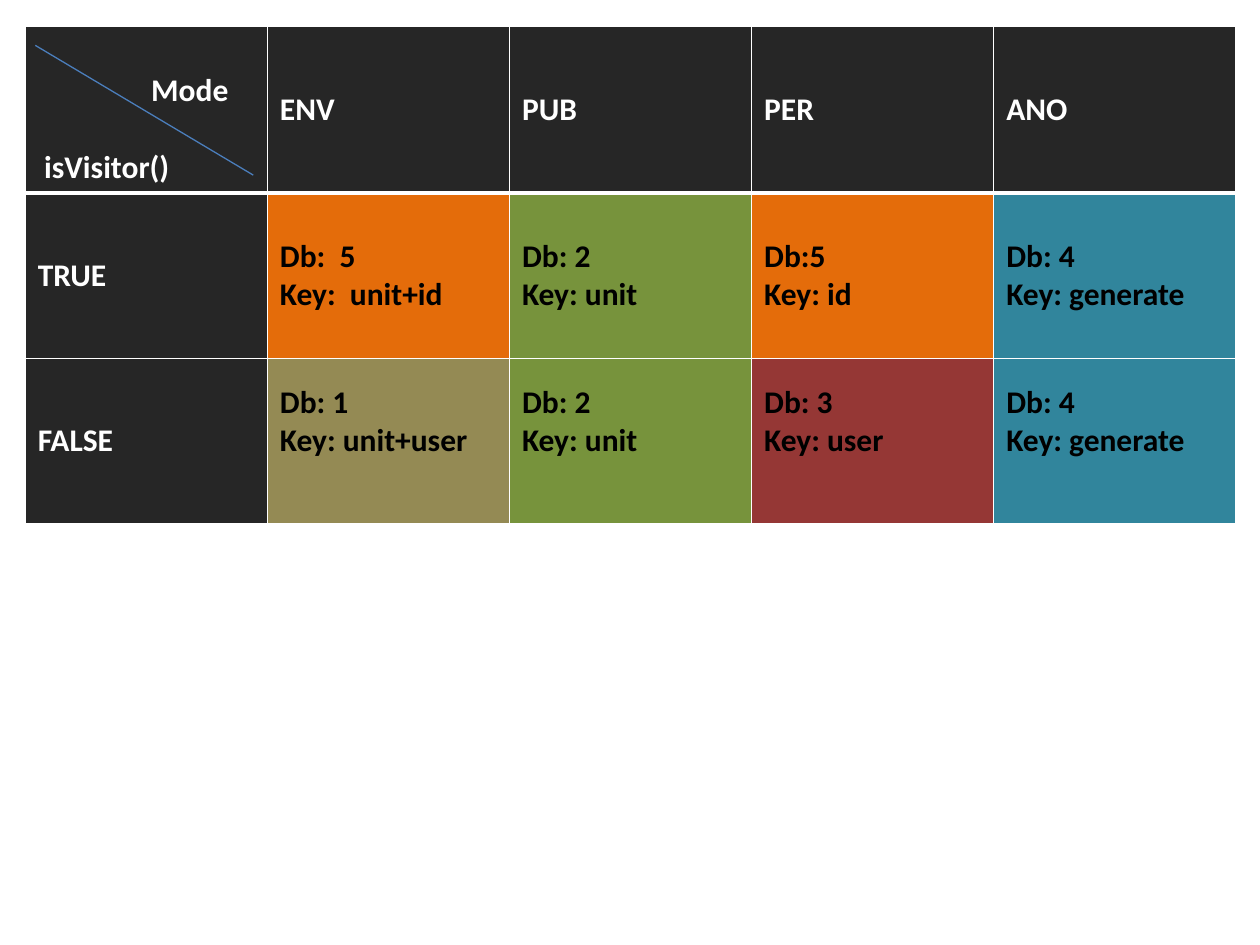
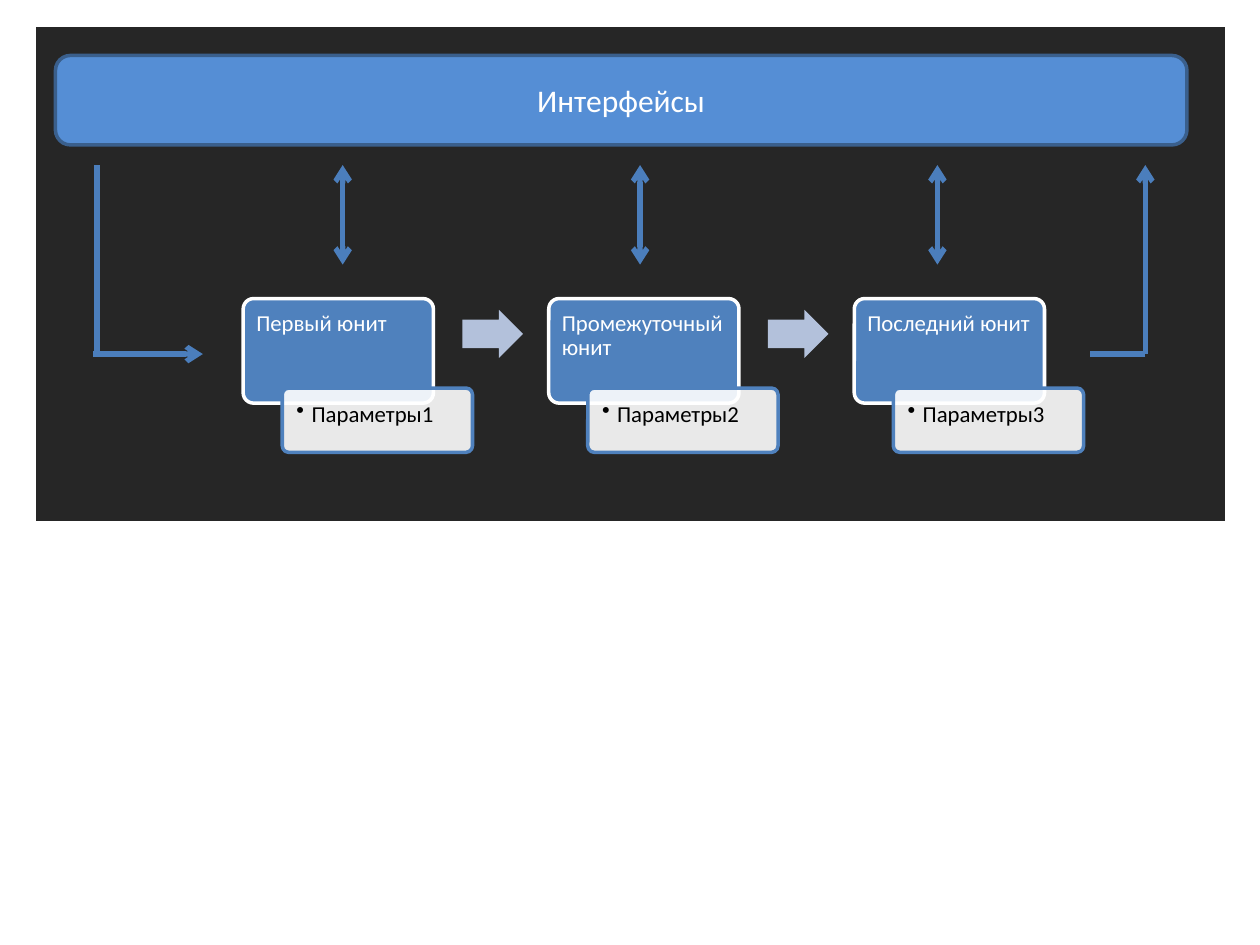
from pptx import Presentation
from pptx.dml.color import RGBColor
from pptx.enum.shapes import MSO_CONNECTOR, MSO_SHAPE
from pptx.enum.text import MSO_ANCHOR, PP_ALIGN
from pptx.oxml.ns import qn
from pptx.util import Inches, Pt
from lxml.etree import SubElement, Element

# Shared look
FONT = "Calibri"
WHITE = RGBColor(0xFF, 0xFF, 0xFF)
BLACK = RGBColor(0x00, 0x00, 0x00)
DARK = RGBColor(0x26, 0x26, 0x26)
ORANGE = RGBColor(0xE4, 0x6C, 0x0A)
GREEN = RGBColor(0x77, 0x93, 0x3C)
TEAL = RGBColor(0x31, 0x85, 0x9C)
TAN = RGBColor(0x94, 0x8A, 0x54)
RED = RGBColor(0x95, 0x37, 0x35)
BLUE = RGBColor(0x4F, 0x81, 0xBD)
LINE_BLUE = RGBColor(0x4B, 0x7E, 0xBC)
BAR_BLUE = RGBColor(0x55, 0x8E, 0xD5)
BAR_EDGE = RGBColor(0x3A, 0x5F, 0x8C)
PALE_BLUE = RGBColor(0xB3, 0xC1, 0xDB)

# Content
MODES = ["ENV", "PUB", "PER", "ANO"]
VISITOR_ROWS = [
    ("TRUE", [("Db:  5", "Key:  unit+id", ORANGE), ("Db: 2", "Key: unit", GREEN),
              ("Db:5", "Key: id", ORANGE), ("Db: 4", "Key: generate", TEAL)]),
    ("FALSE", [("Db: 1", "Key: unit+user", TAN), ("Db: 2", "Key: unit", GREEN),
               ("Db: 3", "Key: user", RED), ("Db: 4", "Key: generate", TEAL)]),
]
INTERFACES = "Интерфейсы"
UNITS = [("Первый юнит", "Параметры1"), ("Промежуточный юнит", "Параметры2"),
         ("Последний юнит", "Параметры3")]

# Grid
TABLE_TOP, TABLE_H = 0.21, 3.94
TEXT_LINE = 0.305          # height of one 18 pt line
UNIT_X, UNIT_Y, UNIT_STEP = 1.93, 2.37, 2.425
UNIT_W, UNIT_H, PARAM_H = 1.51, 0.83, 0.51
ARROW_TOP, ARROW_END, FLOW_Y = 1.31, 2.1, 2.81
IN_X, OUT_X = 0.77, 9.09

prs = Presentation()
prs.slide_width, prs.slide_height = Inches(10), Inches(7.5)


def new_slide():
    return prs.slides.add_slide(prs.slide_layouts[6])


def add_run(p, text, size, color, bold=False):
    r = p.add_run()
    r.text = text
    r.font.name, r.font.size, r.font.bold = FONT, Pt(size), bold
    r.font.color.rgb = color


def add_grid(s, left, width, rows, cols):
    frame = s.shapes.add_table(rows, cols, Inches(left), Inches(TABLE_TOP),
                               Inches(width), Inches(TABLE_H))
    return frame.table


def style_cell(cell, fill, top=1, bottom=1):
    cell.fill.solid()
    cell.fill.fore_color.rgb = fill
    cell.vertical_anchor = MSO_ANCHOR.MIDDLE
    tcPr = cell._tc.get_or_add_tcPr()
    for i, (side, width) in enumerate(zip("LRTB", (1, 1, top, bottom))):
        ln = Element(qn("a:ln" + side), w=str(Pt(width)))
        SubElement(SubElement(ln, qn("a:solidFill")), qn("a:srgbClr"), val=str(WHITE))
        tcPr.insert(i, ln)


def write_cell(cell, lines, color):
    tf = cell.text_frame
    for i, text in enumerate(lines):
        p = tf.paragraphs[0] if i == 0 else tf.add_paragraph()
        add_run(p, text, 18, color, bold=True)


def add_line(s, start, end, width, head=False, tail=False):
    c = s.shapes.add_connector(MSO_CONNECTOR.STRAIGHT,
                               *[Inches(v) for v in (*start, *end)])
    c.line.color.rgb, c.line.width = LINE_BLUE, Pt(width)
    ln = c.line._get_or_add_ln()
    for tag, wanted in (("a:headEnd", head), ("a:tailEnd", tail)):
        if wanted:
            SubElement(ln, qn(tag), type="arrow")
    SubElement(c._element.spPr, qn("a:effectLst"))


def add_box(s, kind, x, y, w, h, fill, edge=None, adjust=()):
    sp = s.shapes.add_shape(kind, Inches(x), Inches(y), Inches(w), Inches(h))
    sp.shadow.inherit = False
    sp.fill.solid()
    sp.fill.fore_color.rgb = fill
    if edge is None:
        sp.line.fill.background()
    else:
        sp.line.color.rgb, sp.line.width = edge, Pt(2)
    for i, value in enumerate(adjust):
        sp.adjustments[i] = value
    return sp


def write_box(sp, text, color, inset):
    tf = sp.text_frame
    tf.word_wrap, tf.vertical_anchor = True, MSO_ANCHOR.TOP
    tf.margin_left = tf.margin_right = tf.margin_top = Inches(inset)
    p = tf.paragraphs[0]
    p.alignment, p.line_spacing = PP_ALIGN.LEFT, 0.9
    add_run(p, text, 13, color)
    return p


# Slide 1: mode table
s = new_slide()
table = add_grid(s, 0.2, 9.61, len(VISITOR_ROWS) + 1, len(MODES) + 1)
for c, mode in enumerate([None] + MODES):
    cell = table.cell(0, c)
    style_cell(cell, DARK, bottom=3)
    if mode:
        write_cell(cell, [mode], WHITE)

for r, (label, entries) in enumerate(VISITOR_ROWS, 1):
    top = 3 if r == 1 else 1
    style_cell(table.cell(r, 0), DARK, top)
    write_cell(table.cell(r, 0), [label], WHITE)
    for c, (db, key, fill) in enumerate(entries, 1):
        cell = table.cell(r, c)
        style_cell(cell, fill, top)
        write_cell(cell, [db, key], BLACK)
        if r == len(VISITOR_ROWS):
            cell.margin_bottom = Inches(0.05 + TEXT_LINE)

# Split corner cell
corner = table.cell(0, 0)
corner.vertical_anchor = MSO_ANCHOR.TOP
corner.margin_top = Inches(0.05 + TEXT_LINE)
write_cell(corner, ["Mode", "isVisitor()"], WHITE)
for p, indent in zip(corner.text_frame.paragraphs, (0.9, 0.05)):
    p._p.get_or_add_pPr().set("marL", str(Inches(indent)))
corner.text_frame.paragraphs[1].space_before = Pt(22)
add_line(s, (0.28, 0.36), (2.01, 1.39), 0.75)

# Slide 2: dark panel
s = new_slide()
style_cell(add_grid(s, 0.28, 9.45, 1, 1).cell(0, 0), DARK, bottom=3)

# Chain of units
for i, (unit, params) in enumerate(UNITS):
    x = UNIT_X + i * UNIT_STEP
    sp = add_box(s, MSO_SHAPE.ROUNDED_RECTANGLE, x, UNIT_Y, UNIT_W, UNIT_H,
                 BLUE, WHITE, [0.1])
    write_box(sp, unit, WHITE, 0.08)

    sp = add_box(s, MSO_SHAPE.ROUNDED_RECTANGLE, x + 0.31, UNIT_Y + 0.71, UNIT_W, PARAM_H,
                 WHITE, BLUE, [0.1])
    color = sp._element.spPr.find(qn("a:solidFill"))[0]
    SubElement(color, qn("a:alpha"), val="90000")
    pPr = write_box(sp, params, BLACK, 0.1)._p.get_or_add_pPr()
    pPr.set("marL", str(Inches(0.12)))
    pPr.set("indent", str(Inches(-0.12)))
    SubElement(pPr, qn("a:buChar"), char="•")

    if i < len(UNITS) - 1:
        add_box(s, MSO_SHAPE.RIGHT_ARROW, x + 1.74, UNIT_Y + 0.09, 0.48, 0.38,
                PALE_BLUE, adjust=[0.6, 0.5])

# Links between the interfaces and the units
add_line(s, (IN_X, ARROW_TOP), (IN_X, FLOW_Y), 3)
add_line(s, (IN_X - 0.03, FLOW_Y), (1.61, FLOW_Y), 3, tail=True)
add_line(s, (OUT_X, FLOW_Y), (8.65, FLOW_Y), 3)
add_line(s, (OUT_X, FLOW_Y), (OUT_X, ARROW_TOP), 3, tail=True)
for i in range(len(UNITS)):
    x = 2.72 + i * 2.36
    add_line(s, (x, ARROW_TOP), (x, ARROW_END), 3, head=True, tail=True)

# Interfaces bar
bar = add_box(s, MSO_SHAPE.ROUNDED_RECTANGLE, 0.44, 0.44, 8.98, 0.71, BAR_BLUE, BAR_EDGE)
bar.text_frame.vertical_anchor = MSO_ANCHOR.MIDDLE
p = bar.text_frame.paragraphs[0]
p.alignment = PP_ALIGN.CENTER
add_run(p, INTERFACES, 18, WHITE)

prs.save("out.pptx")
